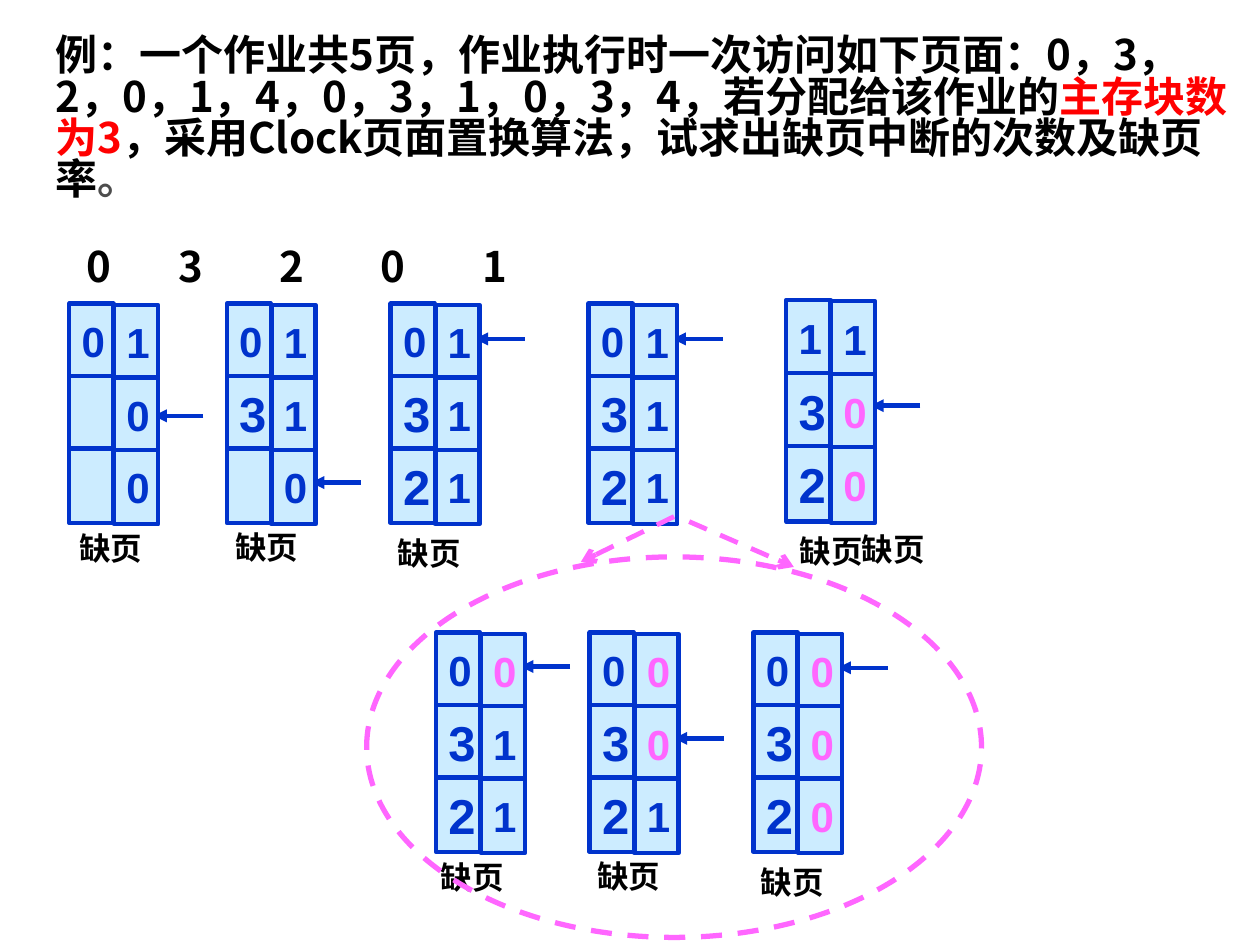
from lxml import etree
from pptx import Presentation
from pptx.dml.color import RGBColor
from pptx.enum import dml, shapes, text
from pptx.oxml.ns import qn
from pptx.util import Inches, Pt

BLACK = RGBColor(0x00, 0x00, 0x00)
RED = RGBColor(0xFF, 0x00, 0x00)
GREY = RGBColor(0x4D, 0x4D, 0x4D)
WHITE = RGBColor(0xFF, 0xFF, 0xFF)
BLUE = RGBColor(0x00, 0x33, 0xCC)
PALE_BLUE = RGBColor(0xCC, 0xEC, 0xFF)
PINK = RGBColor(0xFF, 0x66, 0xFF)
CJK = "Noto Sans CJK SC"

CELL_WIDTH = 0.35
BIT_OFFSET = 0.355  # from the page column to the use-bit column

QUESTION = [
    ("例：一个作业共5页，作业执行时一次访问如下页面：0，3，2，0，1，4，0，3，1，0，3，4，"
     "若分配给该作业的", CJK, BLACK),
    ("主存块数为3", CJK, RED),
    ("，采用Clock页面置换算法，试求出缺页中断的次数及缺页率", CJK, BLACK),
    ("。", "Roboto", GREY),
]

# Left, top, cell height, row pitch, pages, use bits, height of the clock hand
ACCESSES = [
    (0.55, 2.41, 0.59, 0.575, ["0", "", ""], "100", 3.3),
    (1.8, 2.41, 0.59, 0.575, ["0", "3", ""], "110", 3.83),
    (3.1, 2.41, 0.59, 0.575, ["0", "3", "2"], "111", 2.69),
    (4.67, 2.41, 0.59, 0.575, ["0", "3", "2"], "111", 2.69),
    (6.24, 2.38, 0.6, 0.58, ["1", "3", "2"], "100", 3.22),
]
SCAN_STEPS = [
    (3.46, 5.02, 0.59, 0.575, ["0", "3", "2"], "011", 5.29),
    (4.68, 5.02, 0.59, 0.575, ["0", "3", "2"], "001", 5.86),
    (5.98, 5.02, 0.59, 0.575, ["0", "3", "2"], "000", 5.3),
]
ACCESS_FAULTS = [(0.53, 4.15), (1.77, 4.14), (3.06, 4.19), (6.25, 4.17)]
SCAN_FAULTS = [(3.4, 6.76), (4.64, 6.75), (5.94, 6.8), (6.74, 4.16)]


def format_run(run, size, font, color):
    run.font.size = Pt(size)
    run.font.bold = True
    run.font.color.rgb = color
    run.font.name = font
    if font != "Arial":
        east_asian = etree.SubElement(run._r.get_or_add_rPr(), qn("a:ea"))
        east_asian.set("typeface", font)


def add_question(slide):
    question = slide.placeholders[1]
    question.left, question.top = Inches(0.34), Inches(0.25)
    question.width, question.height = Inches(9.51), Inches(1.65)
    question.fill.solid()
    question.fill.fore_color.rgb = WHITE
    question.text_frame.auto_size = text.MSO_AUTO_SIZE.NONE
    paragraph = question.text_frame.paragraphs[0]
    paragraph.line_spacing = 0.82
    properties = paragraph._p.get_or_add_pPr()
    properties.set("marL", "0")
    properties.set("indent", "0")
    etree.SubElement(properties, qn("a:buNone"))
    for words, font, color in QUESTION:
        run = paragraph.add_run()
        run.text = words
        format_run(run, 24, font, color)


def add_label(slide, left, top, width, height, words, size, font):
    label = slide.shapes.add_textbox(Inches(left), Inches(top), Inches(width), Inches(height))
    label.text_frame.word_wrap = True
    label.text_frame.text = words
    paragraph = label.text_frame.paragraphs[0]
    format_run(paragraph.runs[0], size, font, BLACK)
    return paragraph


def add_page_sequence(slide):
    paragraph = add_label(slide, 0.59, 1.86, 9.37, 0.5, "\t".join("03201"), 24, CJK)
    tabs = etree.SubElement(paragraph._p.get_or_add_pPr(), qn("a:tabLst"))
    for position in (0.73, 1.53, 2.33, 3.14):
        etree.SubElement(tabs, qn("a:tab"), pos=str(Inches(position)), algn="l")


def add_faults(slide, places):
    for left, top in places:
        add_label(slide, left, top, 0.71, 0.4, "缺页", 18, "Arial")


def add_cell(slide, left, top, height, value, size=24, color=BLUE):
    cell = slide.shapes.add_shape(shapes.MSO_SHAPE.FLOWCHART_PROCESS, Inches(left),
                                  Inches(top), Inches(CELL_WIDTH), Inches(height))
    cell.shadow.inherit = False
    cell.fill.solid()
    cell.fill.fore_color.rgb = PALE_BLUE
    cell.line.color.rgb = BLUE
    cell.line.width = Pt(2.5)
    if value:
        cell.text_frame.text = value
        cell.text_frame.vertical_anchor = text.MSO_ANCHOR.MIDDLE
        paragraph = cell.text_frame.paragraphs[0]
        paragraph.alignment = text.PP_ALIGN.LEFT
        format_run(paragraph.runs[0], size, "Arial", color)


def add_arrow(slide, start, end, color, width, head, dashed=False):
    arrow = slide.shapes.add_connector(shapes.MSO_CONNECTOR.STRAIGHT,
                                       *map(Inches, start + end))
    arrow.line.color.rgb = color
    arrow.line.width = Pt(width)
    if dashed:
        arrow.line.dash_style = dml.MSO_LINE.DASH
    etree.SubElement(arrow.line._get_or_add_ln(), qn("a:tailEnd"), type=head)
    etree.SubElement(arrow._element.spPr, qn("a:effectLst"))


def add_memory(slide, left, top, height, pitch, pages, bits, hand):
    # Pages
    for row, page in enumerate(pages):
        add_cell(slide, left, top + row * pitch, height, page, 28 if row else 24)
    # Clock hand, its tip tucked under the use bits
    add_arrow(slide, (left + 1.065, hand), (left + 0.67, hand), BLUE, 2.5, "triangle")
    # Use bits, pink where a loaded page's bit has been cleared
    for row, (page, bit) in enumerate(zip(pages, bits)):
        cleared = page and bit == "0"
        add_cell(slide, left + BIT_OFFSET, top + 0.01 + row * pitch, height, bit,
                 color=PINK if cleared else BLUE)


def add_scan_outline(slide):
    outline = slide.shapes.add_shape(shapes.MSO_SHAPE.OVAL, Inches(2.91), Inches(4.42),
                                     Inches(4.88), Inches(3.02))
    outline.shadow.inherit = False
    outline.fill.background()
    outline.line.color.rgb = PINK
    outline.line.width = Pt(3)
    outline.line.dash_style = dml.MSO_LINE.DASH


def main():
    deck = Presentation()
    deck.slide_width, deck.slide_height = Inches(10), Inches(7.5)
    slide = deck.slides.add_slide(deck.slide_layouts[1])
    title = slide.shapes.title._element
    title.getparent().remove(title)

    # Question and accessed pages
    add_question(slide)
    add_page_sequence(slide)

    # Memory after each access
    for access in ACCESSES:
        add_memory(slide, *access)
    add_faults(slide, ACCESS_FAULTS)

    # Clock scan between the fourth and fifth access
    for step in SCAN_STEPS:
        add_memory(slide, *step)
    add_faults(slide, SCAN_FAULTS)
    add_scan_outline(slide)
    add_arrow(slide, (5.35, 4.1), (4.61, 4.46), PINK, 2.75, "arrow", dashed=True)
    add_arrow(slide, (5.47, 4.14), (6.3, 4.5), PINK, 2.75, "arrow", dashed=True)

    deck.save("out.pptx")


if __name__ == "__main__":
    main()
